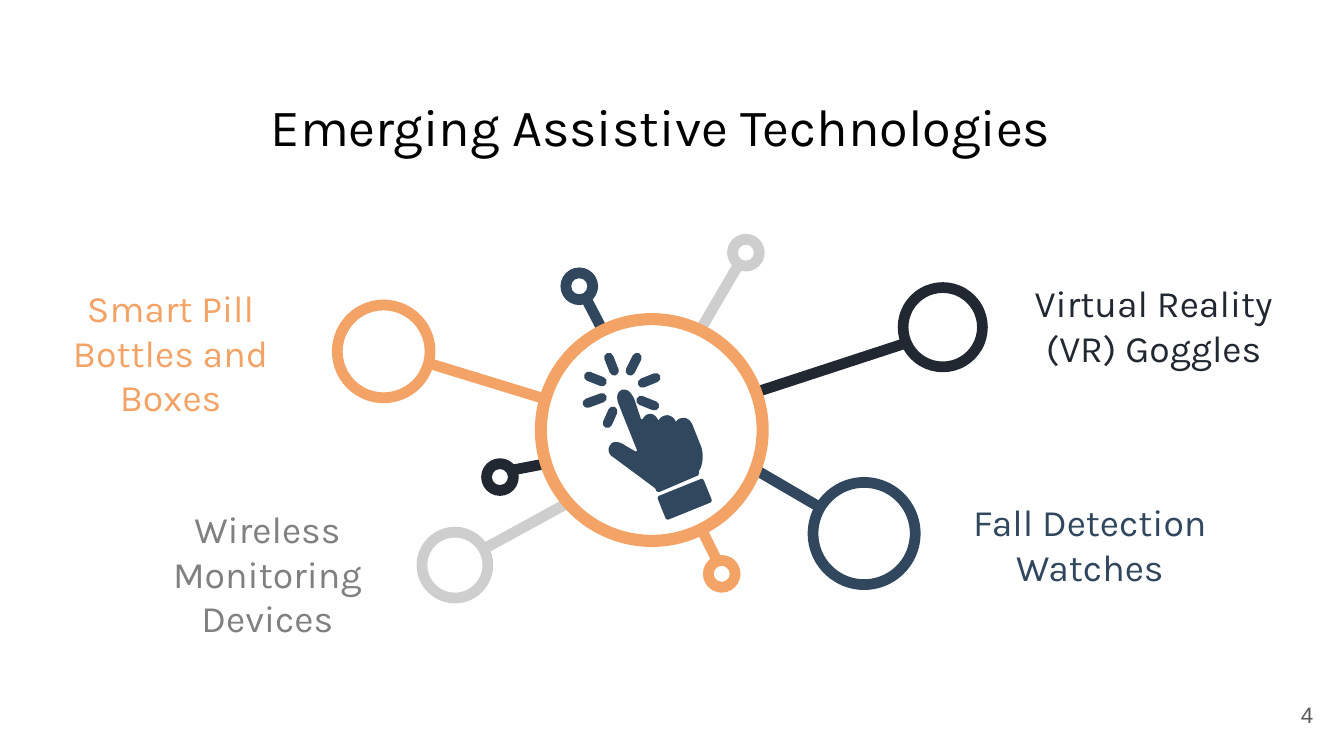
from lxml.etree import SubElement
from pptx import Presentation
from pptx.dml.color import RGBColor
from pptx.enum.shapes import MSO_CONNECTOR, MSO_SHAPE
from pptx.enum.text import MSO_ANCHOR, PP_ALIGN
from pptx.oxml.ns import qn
from pptx.util import Inches, Pt

PX = Inches(1) // 100  # 100 px to the inch
SLIDE_WIDTH = 1000 * PX
SLIDE_HEIGHT = SLIDE_WIDTH * 9 // 16

BLACK = RGBColor(0x00, 0x00, 0x00)
NAVY = RGBColor(0x30, 0x47, 0x5E)
INK = RGBColor(0x22, 0x28, 0x31)
ORANGE = RGBColor(0xF2, 0xA3, 0x65)
SILVER = RGBColor(0xCE, 0xCE, 0xCE)
GREY = RGBColor(0x80, 0x80, 0x80)
DARK_GREY = RGBColor(0x59, 0x59, 0x59)

TITLE = ("Emerging Assistive Technologies", (69, 67, 845, 53))
SLIDE_NUMBER = ("4", (927, 510, 60, 43))

# text, box (left, top, width, height), colour
LABELS = [
    ("Wireless Monitoring Devices", (84, 366, 230, 121), GREY),
    ("Smart Pill Bottles and Boxes", (32, 207, 190, 110), ORANGE),
    ("Fall Detection Watches", (679, 364, 264, 82), NAVY),
    ("Virtual Reality (VR) Goggles", (752, 194, 213, 96), INK),
]

# colour, ring (left, top, diameter), spoke (from x, y, to x, y)
NODES = [
    (NAVY, (601, 355, 84), (563, 350, 611, 378)),
    (INK, (668, 210, 67), (562, 292, 672, 256)),
    (ORANGE, (247, 223, 77), (406, 297, 318, 270)),
    (SILVER, (310, 392, 57), (423, 374, 359, 409)),
    (INK, (358, 341, 28), (406, 345, 380, 350)),
    (ORANGE, (523, 413, 28), (522, 394, 534, 418)),
    (NAVY, (417, 199, 28), (448, 245, 436, 222)),
    (SILVER, (541, 174, 28), (522, 244, 550, 196)),
]
HUB = (398, 233, 174)

CLICK_RAYS = [
    (453, 266, 457, 276),
    (438, 280, 448, 284),
    (477, 298, 487, 302),
    (437, 300, 448, 296),
    (478, 285, 488, 281),
    (452, 315, 456, 306),
    (469, 276, 474, 266),
]
CUFF = (491, 362, 37, 19)
CUFF_ANGLE = -22

# Pairs are line ends; sixes are two control points and a curve end
HAND_START = (465, 290)
HAND = [
    (464, 290, 463, 290, 463, 290), (457, 292, 460, 300, 460, 300),
    (474, 335), (474, 336, 473, 336, 473, 336),
    (466, 332), (466, 332, 462, 329, 459, 329),
    (457, 329, 456, 329, 455, 330), (450, 335, 455, 340, 456, 340),
    (487, 363), (488, 364, 488, 364, 488, 365),
    (489, 366, 489, 366, 491, 366),
    (519, 354), (520, 354, 520, 353, 520, 351),
    (525, 343, 522, 333, 522, 333),
    (516, 318), (516, 318, 514, 311, 509, 311),
    (506, 311, 504, 312, 503, 314), (502, 312, 501, 310, 497, 309),
    (493, 309, 491, 311, 490, 313), (489, 311, 487, 308, 484, 308),
    (480, 308, 479, 311, 478, 312),
    (477, 312), (472, 297), (472, 297, 469, 290, 465, 290),
]
CURVE_STEPS = 8


def add_text(slide, text, box, *, size, color, font="Karla", align=PP_ALIGN.CENTER):
    text_box = slide.shapes.add_textbox(*(value * PX for value in box))
    frame = text_box.text_frame
    frame.word_wrap = True
    frame.vertical_anchor = MSO_ANCHOR.MIDDLE
    frame.margin_left = frame.margin_right = Inches(0.1)
    frame.margin_top = frame.margin_bottom = Inches(0.1)
    paragraph = frame.paragraphs[0]
    paragraph.text = text
    paragraph.alignment = align
    paragraph.font.name = font
    paragraph.font.size = Pt(size)
    paragraph.font.color.rgb = color


def paint(shape, color):
    shape.shadow.inherit = False
    shape.fill.solid()
    shape.fill.fore_color.rgb = color
    shape.line.fill.background()


def add_ring(slide, ring, color, thickness):
    left, top, diameter = (value * PX for value in ring)
    shape = slide.shapes.add_shape(MSO_SHAPE.DONUT, left, top, diameter, diameter)
    shape.adjustments[0] = thickness / ring[2]
    paint(shape, color)


def add_bar(slide, ends, color, width, cap="flat"):
    bar = slide.shapes.add_connector(
        MSO_CONNECTOR.STRAIGHT, *(value * PX for value in ends))
    bar.line.color.rgb = color
    bar.line.width = width * PX
    bar.line._get_or_add_ln().set("cap", cap)
    SubElement(bar._element.spPr, qn("a:effectLst"))


def flatten(start, segments):
    """Turn lines and cubic curves into a list of points."""
    points = [start]
    for segment in segments:
        if len(segment) == 2:
            points.append(segment)
            continue
        x0, y0 = points[-1]
        x1, y1, x2, y2, x3, y3 = segment
        for step in range(1, CURVE_STEPS + 1):
            t = step / CURVE_STEPS
            a, b, c, d = (1 - t) ** 3, 3 * t * (1 - t) ** 2, 3 * t * t * (1 - t), t ** 3
            points.append((a * x0 + b * x1 + c * x2 + d * x3,
                           a * y0 + b * y1 + c * y2 + d * y3))
    return points


def add_hand(slide):
    points = [(round(x * PX), round(y * PX)) for x, y in flatten(HAND_START, HAND)]
    builder = slide.shapes.build_freeform(*points[0])
    builder.add_line_segments(points[1:], close=True)
    paint(builder.convert_to_shape(), NAVY)

    cuff = slide.shapes.add_shape(
        MSO_SHAPE.ROUNDED_RECTANGLE, *(value * PX for value in CUFF))
    cuff.adjustments[0] = 0.1
    cuff.rotation = CUFF_ANGLE
    paint(cuff, NAVY)

    for ray in CLICK_RAYS:
        add_bar(slide, ray, NAVY, 7, cap="rnd")


def main():
    presentation = Presentation()
    presentation.slide_width = SLIDE_WIDTH
    presentation.slide_height = SLIDE_HEIGHT
    slide = presentation.slides.add_slide(presentation.slide_layouts[6])

    add_text(slide, *TITLE, size=28, color=BLACK)
    for text, box, color in LABELS:
        add_text(slide, text, box, size=20, color=color)
    for color, ring, spoke in NODES:
        add_ring(slide, ring, color, 8)
        add_bar(slide, spoke, color, 8)
    add_ring(slide, HUB, ORANGE, 9)
    add_hand(slide)
    add_text(slide, *SLIDE_NUMBER, size=12, color=DARK_GREY, font="Arial",
             align=PP_ALIGN.RIGHT)

    presentation.save("out.pptx")


if __name__ == "__main__":
    main()
